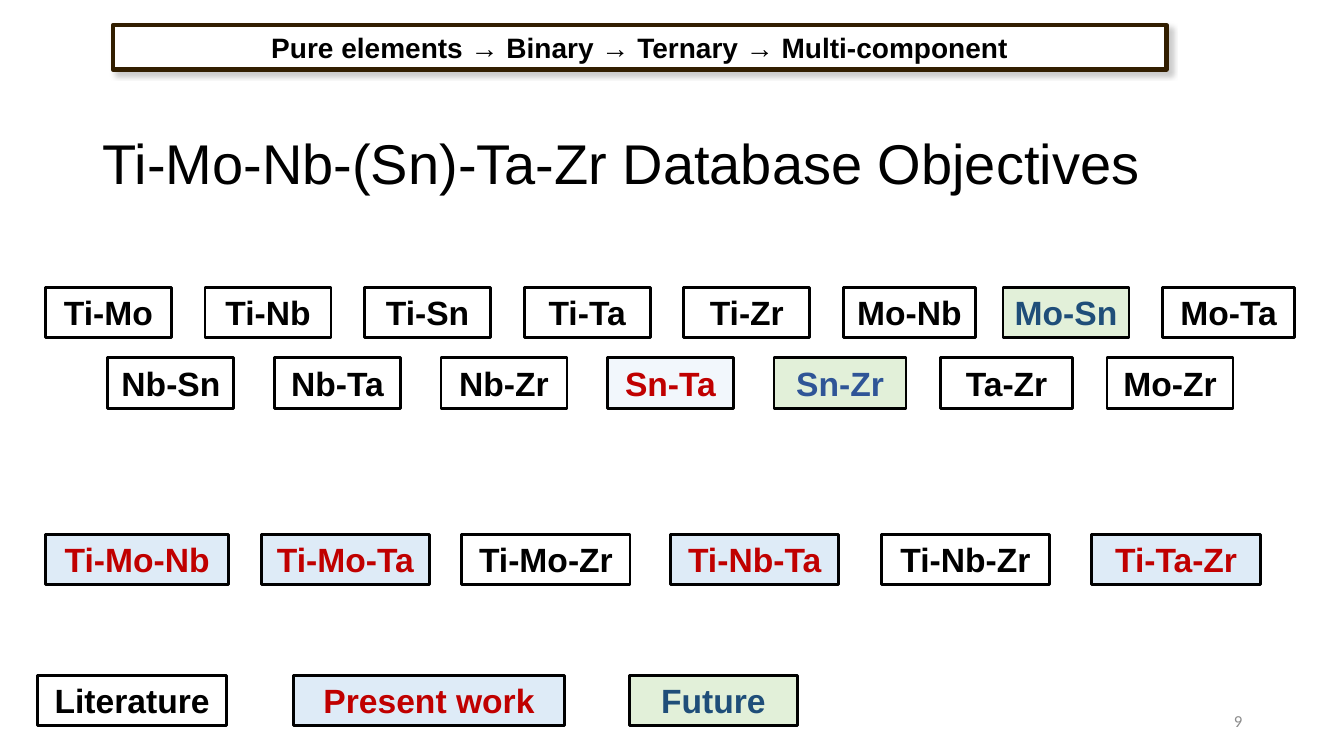
from lxml import etree
from pptx import Presentation
from pptx.dml.color import RGBColor
from pptx.enum.shapes import MSO_SHAPE
from pptx.enum.text import MSO_ANCHOR, MSO_AUTO_SIZE, PP_ALIGN
from pptx.oxml import parse_xml
from pptx.util import Inches, Pt

STYLES = {
    "plain": ("FFFFFF", "000000"),
    "present": ("DEEBF7", "C00000"),
    "pale": ("F2F7FC", "C00000"),
    "future": ("E2F0D9", "1F4E79"),
    "later": ("E2F0D9", "2F5597"),
    "clear": (None, "000000"),
}
SHADOW = """<a:effectLst xmlns:a="http://schemas.openxmlformats.org/drawingml/2006/main">
<a:outerShdw blurRad="50800" dist="38100" dir="2700000" algn="tl" rotWithShape="0">
<a:srgbClr val="808080"><a:alpha val="40000"/></a:srgbClr></a:outerShdw></a:effectLst>"""


def color(code):
    """Turn a hex string into a colour."""
    return RGBColor.from_string(code)


def write(shape, text, size, ink, align, font="Arial", bold=False):
    """Put one styled paragraph, vertically centred, into a shape."""
    frame = shape.text_frame
    frame.word_wrap = True
    frame.vertical_anchor = MSO_ANCHOR.MIDDLE
    para = frame.paragraphs[0]
    para.text = text
    para.alignment = align
    para.font.name = font
    para.font.size = Pt(size)
    para.font.bold = bold
    para.font.color.rgb = color(ink)
    return para


def add_box(slide, box, text, style="plain", size=24, edge="000000", weight=2):
    """Draw a framed box with a bold centred label."""
    fill, ink = STYLES[style]
    shape = slide.shapes.add_shape(MSO_SHAPE.RECTANGLE, *map(Inches, box))
    shape.shadow.inherit = False
    if fill:
        shape.fill.solid()
        shape.fill.fore_color.rgb = color(fill)
    else:
        shape.fill.background()
    shape.line.color.rgb = color(edge)
    shape.line.width = Pt(weight)
    write(shape, text, size, ink, PP_ALIGN.CENTER, bold=True)
    shape.text_frame.auto_size = MSO_AUTO_SIZE.SHAPE_TO_FIT_TEXT
    return shape


def add_banner(slide, box):
    """Draw the shadowed banner with the order of work."""
    text = "Pure elements → Binary → Ternary → Multi-component"
    shape = add_box(slide, box, text, size=20, edge="321E00", weight=3)
    props = shape.element.spPr
    for old in props.findall("{*}effectLst"):
        props.remove(old)
    props.append(parse_xml(SHADOW))


def add_text(slide, box, *args, **style):
    """Add a text box and return its paragraph."""
    shape = slide.shapes.add_textbox(*map(Inches, box))
    return write(shape, *args, **style)


def add_row(slide, top, lefts, width, names, styles={}, widths={}):
    """Draw a row of equal boxes, with styles and widths set by name."""
    for left, name in zip(lefts, names):
        box = (left, top, widths.get(name, width), 0.5)
        add_box(slide, box, name, styles.get(name, "plain"))


def add_pairs(slide, left, top):
    """Draw the two rows of binary systems."""
    first = "Ti-Mo Ti-Nb Ti-Sn Ti-Ta Ti-Zr Mo-Nb Mo-Sn Mo-Ta".split()
    second = "Nb-Sn Nb-Ta Nb-Zr Sn-Ta Sn-Zr Ta-Zr Mo-Zr".split()
    styles = {"Mo-Sn": "future", "Sn-Ta": "pale", "Sn-Zr": "later"}
    widths = dict.fromkeys(["Mo-Nb", "Mo-Ta", "Sn-Zr", "Ta-Zr"], 1.31)
    rows = [(first, 0, 11.08), (second, 0.62, 9.91)]
    for index, (names, shift, span) in enumerate(rows):
        step = span / (len(names) - 1)
        lefts = [left + shift + step * i for i in range(len(names))]
        add_row(slide, top + 0.7 * index, lefts, 1.25, names, styles, widths)


def add_triples(slide, left, top):
    """Draw the row of ternary systems."""
    names = "Ti-Mo-Nb Ti-Mo-Ta Ti-Mo-Zr Ti-Nb-Ta Ti-Nb-Zr Ti-Ta-Zr".split()
    lefts = [left + x for x in (0, 2.14, 4.13, 6.2, 8.29, 10.38)]
    done = ["Ti-Mo-Nb", "Ti-Mo-Ta", "Ti-Nb-Ta", "Ti-Ta-Zr"]
    styles = dict.fromkeys(done, "present")
    add_row(slide, top, lefts, 1.67, names, styles, {"Ti-Mo-Nb": 1.82})


def add_legend(slide, left, top):
    """Draw the key to the box colours."""
    names = ["Literature", "Present work", "Future"]
    styles = dict(zip(names, ["clear", "present", "future"]))
    widths = dict(zip(names, [1.88, 2.69, 1.67]))
    lefts = [left + x for x in (0, 2.54, 5.87)]
    add_row(slide, top, lefts, 1.67, names, styles, widths)


def main():
    """Build and save the slide."""
    deck = Presentation()
    deck.slide_width = Inches(13.33)
    deck.slide_height = Inches(7.5)
    slide = deck.slides.add_slide(deck.slide_layouts[6])
    title = add_text(slide, (0.92, 0.93, 11.5, 1.45),
                     "Ti-Mo-Nb-(Sn)-Ta-Zr Database Objectives",
                     40, "000000", PP_ALIGN.LEFT)
    title.line_spacing = 0.9
    add_pairs(slide, 0.45, 2.85)
    add_triples(slide, 0.45, 5.3)
    add_text(slide, (9.42, 6.95, 3, 0.4), "9", 12, "8C8C8C",
             PP_ALIGN.RIGHT, font="Calibri")
    add_banner(slide, (1.12, 0.25, 10.45, 0.44))
    add_legend(slide, 0.37, 6.7)
    deck.save("out.pptx")


if __name__ == "__main__":
    main()
